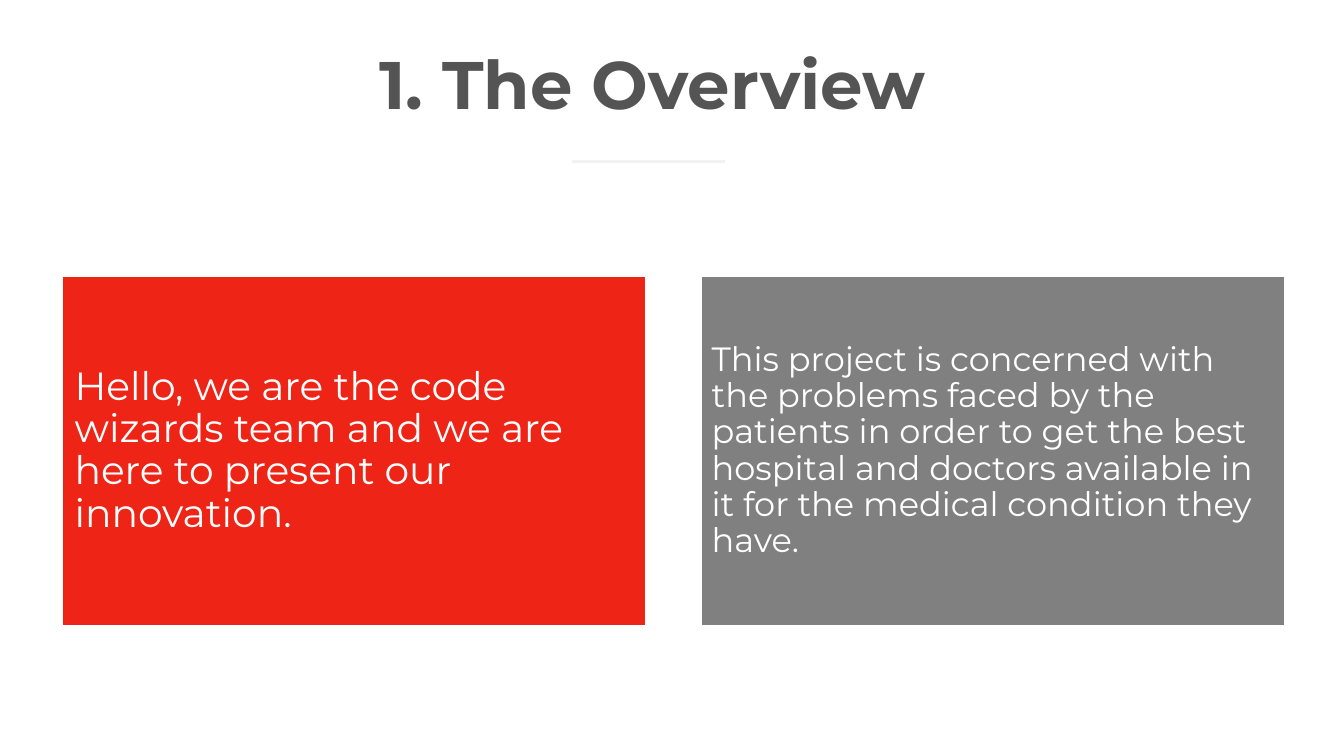
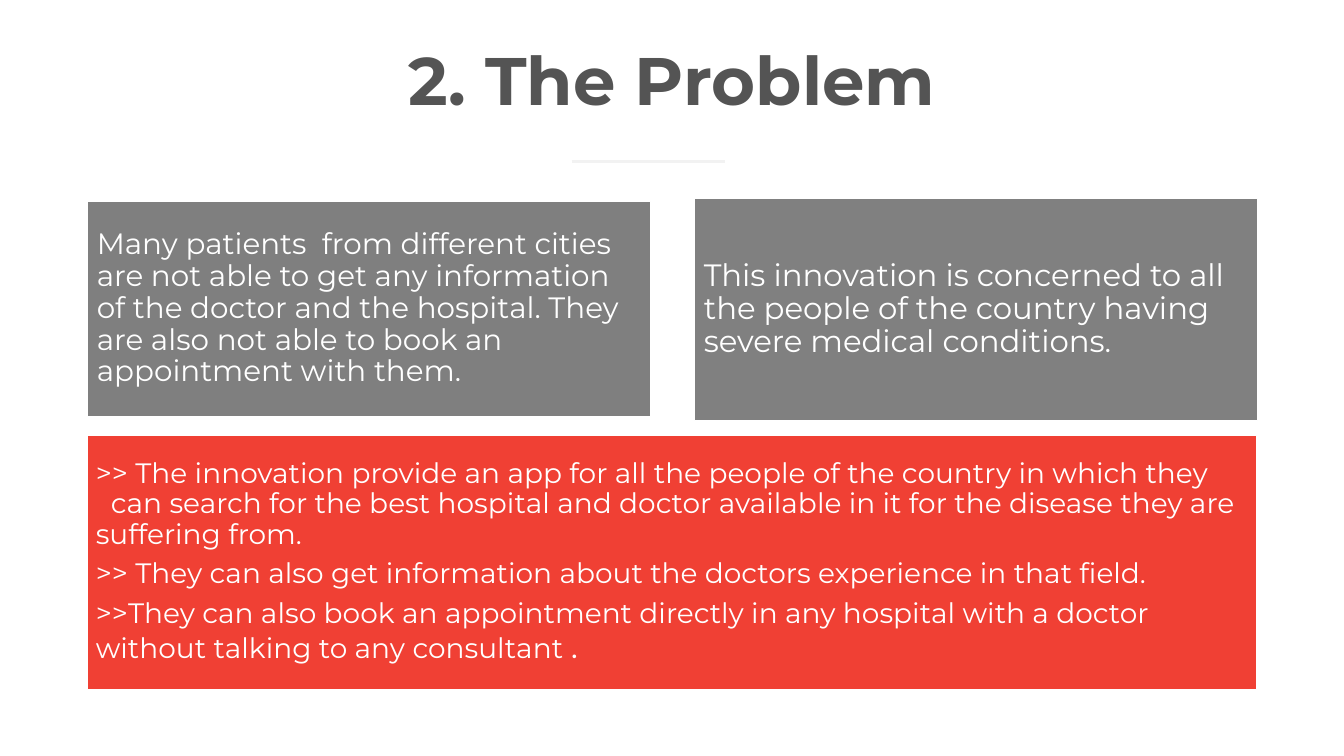
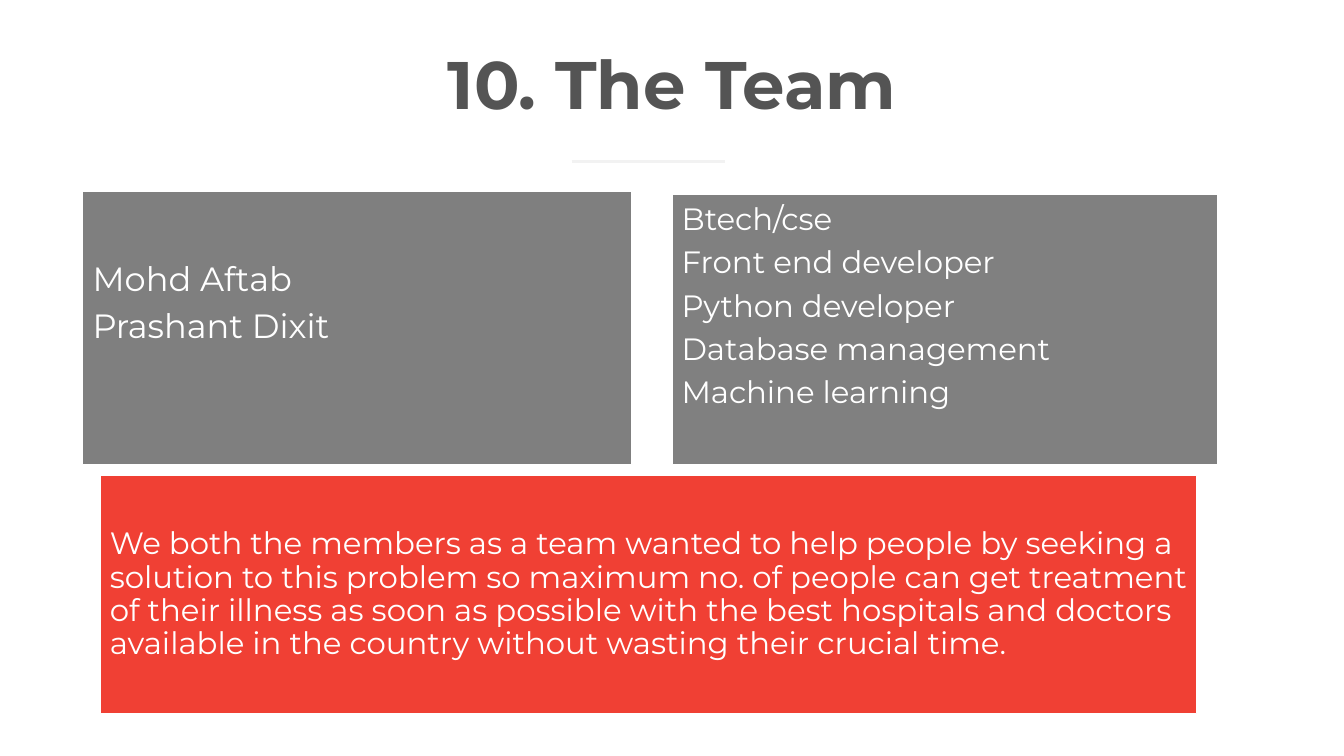
from pptx import Presentation
from pptx.dml.color import RGBColor
from pptx.enum.shapes import MSO_CONNECTOR, MSO_SHAPE
from pptx.enum.text import MSO_ANCHOR, MSO_AUTO_SIZE, PP_ALIGN
from pptx.oxml.ns import qn
from pptx.util import Inches, Pt
from lxml.etree import SubElement

FONT = "Montserrat"
WHITE, TITLE, RULE = "FFFFFF", "545454", "F2F2F2"
RED, CORAL, GREY, DARK_GREY = "EE2516", "F04034", "808080", "7F7F7F"
LINE_SPACING, PARA_GAP = 0.9, 0.33  # gap is a share of the text size

# A paragraph is a string, or a dict with its text and what differs:
# tail (text, size) for a last run, indent in inches, gap for the space after.
SLIDES = [
    {"title": "1. The Overview", "title_box": (0.43, 0.52, 12.08, 0.75), "panels": [
        {"box": (0.62, 2.74, 5.78, 3.47), "fill": RED, "size": 28, "inset": 0.12, "paras": [
            "Hello, we are the code wizards team and we are here to present our innovation."]},
        {"box": (6.96, 2.74, 5.78, 3.47), "fill": GREY, "size": 24, "inset": 0.1, "paras": [
            "This project is concerned with the problems faced by the patients in order to get "
            "the best hospital and doctors available in it for the medical condition they have."]},
    ]},
    {"title": "2. The Problem", "title_box": (0.82, 0.48, 11.69, 0.75), "panels": [
        {"box": (0.87, 2, 5.58, 2.13), "fill": DARK_GREY, "size": 21, "inset": 0.09, "paras": [
            "Many patients  from different cities are not able to get any information of the "
            "doctor and the hospital. They are also not able to book an appointment with them."]},
        {"box": (6.89, 1.97, 5.58, 2.2), "fill": GREY, "size": 22, "inset": 0.09, "paras": [
            "This innovation is concerned to all the people of the country having severe "
            "medical conditions."]},
        {"box": (0.87, 4.32, 11.59, 2.52), "fill": CORAL, "size": 20, "inset": 0.08, "paras": [
            {"text": ">> The innovation provide an app for all the people of the country "
                     "in which they", "gap": 0},
            {"text": "can search for the best hospital and doctor available in it for the "
                     "disease they are suffering from.", "indent": 0.15},
            ">> They can also get information about the doctors experience in that field.",
            {"text": ">>They can also book an appointment directly in any hospital with a "
                     "doctor without talking to any consultant ", "tail": (".", 24)}]},
    ]},
    {"title": "10. The Team", "title_box": (0.82, 0.52, 11.69, 0.75), "panels": [
        {"box": (0.82, 1.9, 5.45, 2.71), "fill": DARK_GREY, "size": 24, "inset": 0.1,
         "bottom": 0.58, "paras": ["Mohd Aftab", "Prashant Dixit"]},
        {"box": (6.67, 1.93, 5.41, 2.68), "fill": GREY, "size": 22, "inset": 0.09,
         "anchor": MSO_ANCHOR.TOP, "paras": [
            "Btech/cse", "Front end developer", "Python developer",
            "Database management", "Machine learning"]},
        {"box": (1, 4.72, 10.87, 2.36), "fill": CORAL, "size": 22, "inset": 0.09, "paras": [
            "We both the members as a team wanted to help people by seeking a solution to this "
            "problem so maximum no. of people can get treatment of their illness as soon as "
            "possible with the best hospitals and doctors available in the country without "
            "wasting their crucial time."]},
    ]},
]


def rgb(color):
    return RGBColor.from_string(color)


def set_attrs(obj, **values):
    for name, value in values.items():
        setattr(obj, name, value)


def add_run(p, text, size, color, bold=False):
    r = p.add_run()
    r.text = text
    set_attrs(r.font, name=FONT, size=Pt(size), bold=bold)
    r.font.color.rgb = rgb(color)


def add_header(s, title, box):
    """Fill the title placeholder and draw the short rule below it."""
    left, top, width, height = map(Inches, box)
    set_attrs(s.shapes.title, left=left, top=top, width=width, height=height)
    tf = s.shapes.title.text_frame
    set_attrs(tf, word_wrap=True, auto_size=MSO_AUTO_SIZE.NONE,
              vertical_anchor=MSO_ANCHOR.TOP)
    p = tf.paragraphs[0]
    set_attrs(p, alignment=PP_ALIGN.CENTER, line_spacing=0.8, space_before=Pt(0))
    add_run(p, title, 48, TITLE, bold=True)

    rule = s.shapes.add_connector(MSO_CONNECTOR.STRAIGHT, Inches(5.67), Inches(1.6),
                                  Inches(7.19), Inches(1.6))
    rule.line.color.rgb = rgb(RULE)
    rule.line.width = Pt(2)
    SubElement(rule.element.spPr, qn("a:effectLst"))


def add_panel(s, box, fill, size, inset, paras, bottom=None, anchor=MSO_ANCHOR.MIDDLE):
    sp = s.shapes.add_shape(MSO_SHAPE.RECTANGLE, *map(Inches, box))
    sp.shadow.inherit = False
    sp.fill.solid()
    sp.fill.fore_color.rgb = rgb(fill)
    sp.line.color.rgb = rgb(WHITE)
    sp.line.width = Pt(1)
    tf = sp.text_frame
    margin = Inches(inset)
    set_attrs(tf, word_wrap=True, vertical_anchor=anchor, margin_left=margin,
              margin_right=margin, margin_top=margin, margin_bottom=Inches(bottom or inset))
    for i, para in enumerate(paras):
        if isinstance(para, str):
            para = {"text": para}
        p = tf.add_paragraph() if i else tf.paragraphs[0]
        set_attrs(p, alignment=PP_ALIGN.LEFT, line_spacing=LINE_SPACING,
                  space_after=Pt(size * para.get("gap", PARA_GAP)))
        if "indent" in para:
            p._p.get_or_add_pPr().set("indent", str(Inches(para["indent"])))
        add_run(p, para["text"], size, WHITE)
        if "tail" in para:
            add_run(p, *para["tail"], WHITE)


def main():
    prs = Presentation()
    set_attrs(prs, slide_width=Inches(13.33), slide_height=Inches(7.5))
    title_only = prs.slide_layouts[5]
    for content in SLIDES:
        s = prs.slides.add_slide(title_only)
        add_header(s, content["title"], content["title_box"])
        for panel in content["panels"]:
            add_panel(s, **panel)
    prs.save("out.pptx")


if __name__ == "__main__":
    main()
